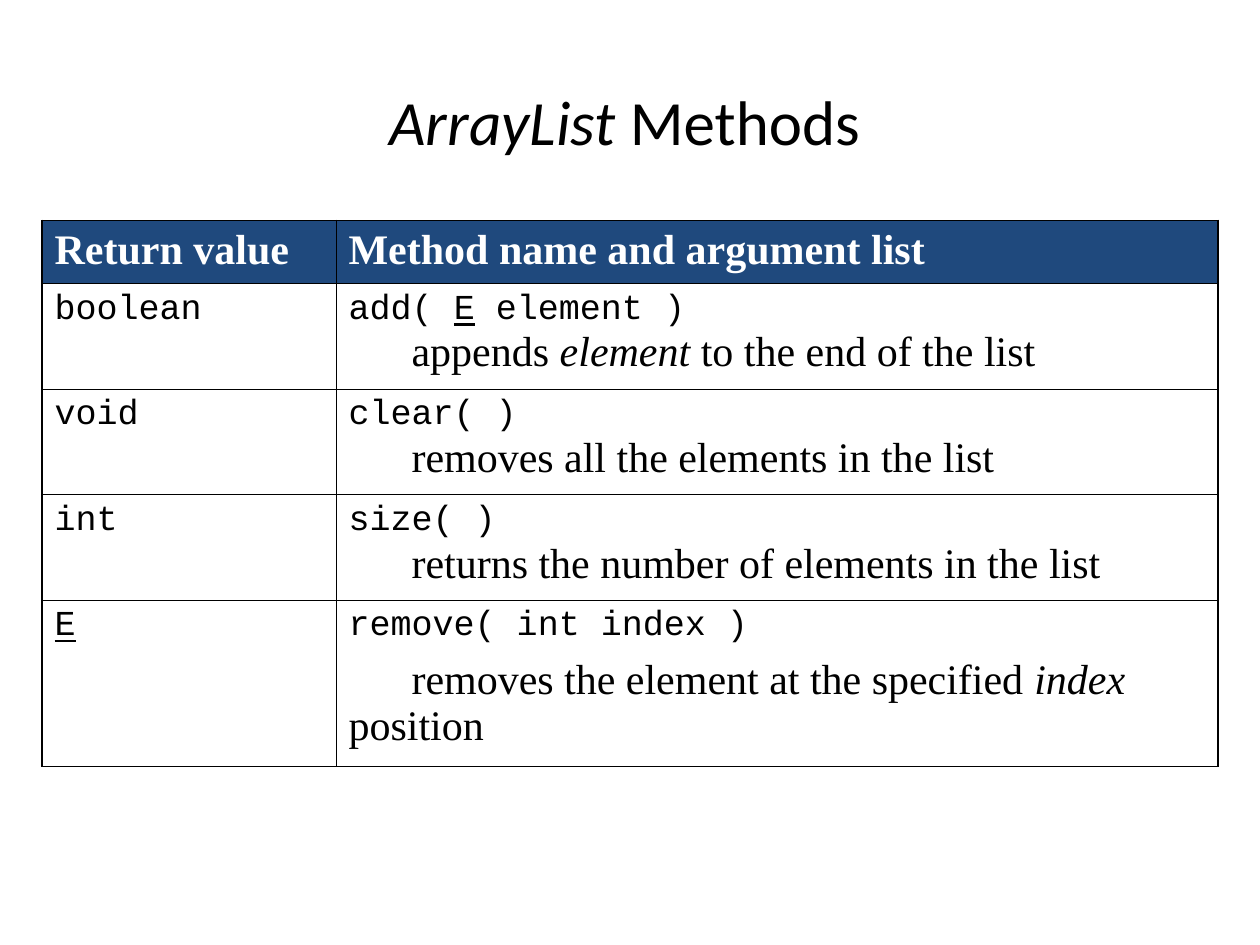
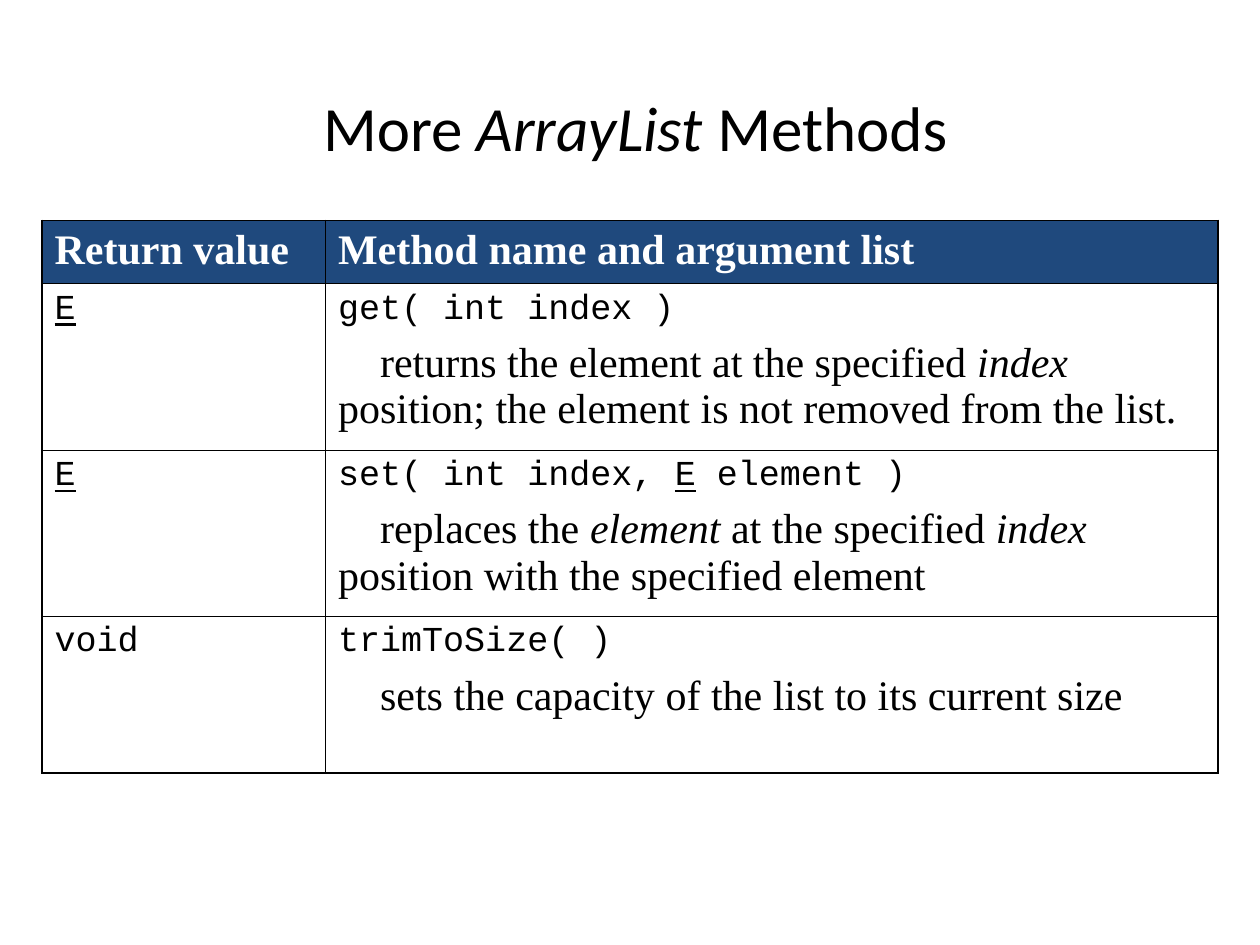
from dataclasses import dataclass

from lxml.etree import SubElement
from pptx import Presentation
from pptx.dml.color import RGBColor
from pptx.enum.text import MSO_ANCHOR, PP_ALIGN
from pptx.oxml.ns import qn
from pptx.util import Emu, Inches, Pt

COLORS = {"text": "000000", "header": "1F497D", "header_text": "FFFFFF", "border": "000000"}
TITLE_FONT, CODE_FONT, PROSE_FONT = "Calibri", "Courier New", "Times New Roman"
HEADINGS = ("Return value", "Method name and argument list")
UNIT = Inches(10) // 120  # the slide is a grid of 120 columns by 90 rows
TABLE_LEFT, TABLE_TOP, TABLE_WIDTH, HEADER_ROWS = 4, 21, 112, 6
OUTER_LINE, INNER_LINE = Pt(1.08), Pt(0.45)


@dataclass(frozen=True)
class Method:
    """One table row; _underlined_ parts in code, *italic* parts in prose."""
    returns: str
    signature: str
    description: str
    rows: float
    gap: int = 6


@dataclass(frozen=True)
class MethodSlide:
    title: str
    title_box: tuple[int, int, int, int]
    first_column: int
    indent: int
    methods: tuple[Method, ...]


SLIDES = (
    MethodSlide("*ArrayList* Methods", (8, 7, 103, 9), 28, 6, (
        Method("boolean", "add( _E_ element )",
               "appends *element* to the end of the list", 10.06, gap=0),
        Method("void", "clear( )", "removes all the elements in the list", 10.06, gap=0),
        Method("int", "size( )", "returns the number of elements in the list", 10.06, gap=0),
        Method("_E_", "remove( int index )",
               "removes the element at the specified *index* position", 15.8),
    )),
    MethodSlide("More *ArrayList* Methods", (9, 8, 103, 8), 27, 4, (
        Method("_E_", "get( int index )",
               "returns the element at the specified *index* position; "
               "the element is not removed from the list.", 15.85),
        Method("_E_", "set( int index, _E_ element )",
               "replaces the *element* at the specified *index* position "
               "with the specified element", 15.85),
        Method("void", "trimToSize( )",
               "sets the capacity of the list to its current size", 14.9),
    )),
)


def grid(count: float) -> Emu:
    return Emu(round(count * UNIT))


def color(name: str) -> RGBColor:
    return RGBColor.from_string(COLORS[name])


def write(paragraph, text: str, font_name: str, size: int, color_name: str = "text",
          bold: bool = False) -> None:
    """Fill the paragraph, underlining marked code and slanting marked prose."""
    is_code = font_name == CODE_FONT
    paragraph.font.name = font_name
    paragraph.font.size = Pt(size)
    paragraph.font.bold = bold
    paragraph.font.color.rgb = color(color_name)
    for index, part in enumerate(text.split("_" if is_code else "*")):
        if part:
            run = paragraph.add_run()
            run.text = part
            if index % 2 and is_code:
                run.font.underline = True
            elif index % 2:
                run.font.italic = True


def add_title(slide, content: MethodSlide) -> None:
    text_frame = slide.shapes.add_textbox(*map(grid, content.title_box)).text_frame
    text_frame.word_wrap = True
    text_frame.vertical_anchor = MSO_ANCHOR.MIDDLE
    paragraph = text_frame.paragraphs[0]
    paragraph.alignment = PP_ALIGN.CENTER
    write(paragraph, content.title, TITLE_FONT, 36)


def add_borders(cell, outer_sides: dict[str, bool]) -> None:
    properties = cell._tc.get_or_add_tcPr()
    for side, is_outer in outer_sides.items():
        width = OUTER_LINE if is_outer else INNER_LINE
        line = SubElement(properties, qn(f"a:ln{side}"), w=str(int(width)))
        fill = SubElement(line, qn("a:solidFill"))
        SubElement(fill, qn("a:srgbClr"), val=COLORS["border"])


def style_cells(table) -> None:
    """Rule the grid, heavier at its edge, and fill the header row."""
    last_row, last_column = len(table.rows) - 1, len(table.columns) - 1
    for row_index, row in enumerate(table.rows):
        for column_index, cell in enumerate(row.cells):
            add_borders(cell, {"L": column_index == 0, "R": column_index == last_column,
                               "T": row_index == 0, "B": row_index == last_row})
            if row_index == 0:
                cell.fill.solid()
                cell.fill.fore_color.rgb = color("header")
            else:
                cell.fill.background()


def add_method_table(slide, content: MethodSlide) -> None:
    row_heights = [HEADER_ROWS, *(method.rows for method in content.methods)]
    table = slide.shapes.add_table(
        len(row_heights), len(HEADINGS), grid(TABLE_LEFT), grid(TABLE_TOP),
        grid(TABLE_WIDTH), grid(sum(row_heights))).table
    table.first_row = table.horz_banding = False
    table.columns[0].width = grid(content.first_column)
    table.columns[1].width = grid(TABLE_WIDTH - content.first_column)
    for row, height in zip(table.rows, row_heights):
        row.height = grid(height)
    style_cells(table)

    for cell, heading in zip(table.rows[0].cells, HEADINGS):
        write(cell.text_frame.paragraphs[0], heading, PROSE_FONT, 24, "header_text", bold=True)
    for row_index, method in enumerate(content.methods, start=1):
        return_frame = table.cell(row_index, 0).text_frame
        method_frame = table.cell(row_index, 1).text_frame
        write(return_frame.paragraphs[0], method.returns, CODE_FONT, 20)
        write(method_frame.paragraphs[0], method.signature, CODE_FONT, 20)
        description = method_frame.add_paragraph()
        description.space_before = Pt(method.gap)
        properties = description._p.get_or_add_pPr()
        properties.set("marL", "0")
        properties.set("indent", str(int(grid(content.indent))))
        write(description, method.description, PROSE_FONT, 24)


def main() -> None:
    presentation = Presentation()
    presentation.slide_width, presentation.slide_height = grid(120), grid(90)
    for content in SLIDES:
        slide = presentation.slides.add_slide(presentation.slide_layouts[6])
        add_title(slide, content)
        add_method_table(slide, content)
    presentation.save("out.pptx")


if __name__ == "__main__":
    main()
